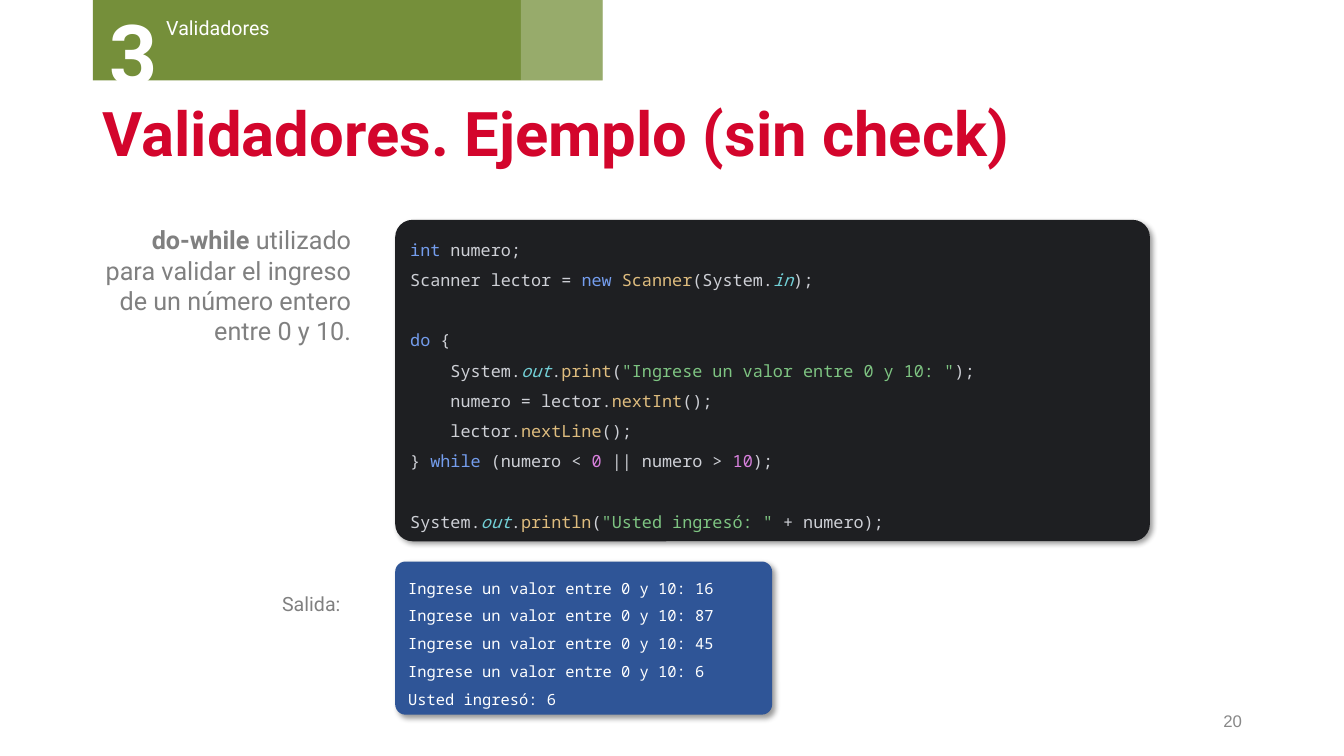
import lxml.etree
import pptx
import pptx.dml.color
import pptx.enum.shapes
import pptx.enum.text
import pptx.oxml.ns
import pptx.util

Cm, Pt = pptx.util.Cm, pptx.util.Pt
Align = pptx.enum.text.PP_ALIGN
Anchor = pptx.enum.text.MSO_ANCHOR
Preset = pptx.enum.shapes.MSO_SHAPE
qn = pptx.oxml.ns.qn

COLOURS = {
    "title": "D3052C", "body": "808080", "number": "888888", "white": "FFFFFF",
    "banner": "758F3A", "editor": "1E1F22", "console": "2F5597",
    "plain": "CED0D6", "keyword": "749DED", "call": "DEBC7E",
    "field": "72CFD6", "string": "7EC482", "literal": "D981DE",
}
MONO = "Noto Sans Mono"
CODE_SIZE = 12
LINE_HEIGHT = 1.8 * CODE_SIZE
INDENT = 4 * 0.6 * CODE_SIZE

# Each line: indent level, blank lines before it, tokens as (text, colour)
CODE = [
    (0, 0, [("int ", "keyword"), ("numero;", "plain")]),
    (0, 0, [("Scanner lector = ", "plain"), ("new ", "keyword"), ("Scanner", "call"),
            ("(System.", "plain"), ("in", "field"), (");", "plain")]),
    (0, 1, [("do ", "keyword"), ("{", "plain")]),
    (1, 0, [("System.", "plain"), ("out", "field"), (".", "plain"), ("print", "call"),
            ("(", "plain"), ('"Ingrese un valor entre 0 y 10: "', "string"),
            (");", "plain")]),
    (1, 0, [("numero = lector.", "plain"), ("nextInt", "call"), ("();", "plain")]),
    (1, 0, [("lector.", "plain"), ("nextLine", "call"), ("();", "plain")]),
    (0, 0, [("} ", "plain"), ("while ", "keyword"), ("(numero < ", "plain"),
            ("0 ", "literal"), ("|| numero > ", "plain"), ("10", "literal"),
            (");", "plain")]),
    (0, 1, [("System.", "plain"), ("out", "field"), (".", "plain"), ("println", "call"),
            ("(", "plain"), ('"Usted ingresó: " ', "string"),
            ("+ numero);", "plain")]),
]
ENTRIES = [16, 87, 45, 6]


def colour(name):
    return pptx.dml.color.RGBColor.from_string(COLOURS[name])


class SlideBuilder:
    """Holds the fonts, the current slide and the shapes being added to."""

    def __init__(self, slide, font="Roboto"):
        self.slide = slide
        self.shapes = slide.shapes
        self.font = font

    def start_group(self):
        self.shapes = self.slide.shapes.add_group_shape().shapes

    def style(self, paragraph, size, colour_name, font=None, bold=None,
              align=Align.LEFT, spacing=None):
        paragraph.font.name = font or self.font
        paragraph.font.size = Pt(size)
        paragraph.font.bold = bold
        paragraph.font.color.rgb = colour(colour_name)
        paragraph.alignment = align
        paragraph.line_spacing = spacing

    def text(self, box, runs, size, colour_name, anchor=Anchor.TOP, **style):
        """Adds a text box; runs are (text, bold) pairs."""
        frame = self.shapes.add_textbox(*map(Cm, box)).text_frame
        frame.word_wrap = True
        frame.vertical_anchor = anchor
        paragraph = frame.paragraphs[0]
        self.style(paragraph, size, colour_name, **style)
        for text, bold in runs:
            run = paragraph.add_run()
            run.text = text
            run.font.bold = bold

    def block(self, box, fill, preset=Preset.RECTANGLE, alpha=None):
        shape = self.shapes.add_shape(preset, *map(Cm, box))
        shape.shadow.inherit = False
        shape.fill.solid()
        shape.fill.fore_color.rgb = colour(fill)
        shape.line.fill.background()
        if alpha is not None:
            fill_colour = shape.fill._xPr.find(".//" + qn("a:srgbClr"))
            self.add_alpha(fill_colour, alpha)
        return shape

    def add_alpha(self, colour_element, percent):
        lxml.etree.SubElement(colour_element, qn("a:alpha"), val=str(percent * 1000))

    def panel(self, box, fill, corner, anchor):
        """Adds a rounded block with a soft shadow and returns its text frame."""
        shape = self.block(box, fill, Preset.ROUNDED_RECTANGLE)
        shape.adjustments[0] = corner
        effects = shape._element.spPr.find(qn("a:effectLst"))
        shadow = lxml.etree.SubElement(
            effects, qn("a:outerShdw"), blurRad=str(Pt(4)), dist=str(Pt(3)),
            dir=str(45 * 60000), algn="tl", rotWithShape="0")
        shade = lxml.etree.SubElement(shadow, qn("a:srgbClr"), val="000000")
        self.add_alpha(shade, 40)
        frame = shape.text_frame
        frame.word_wrap = True
        frame.vertical_anchor = anchor
        return frame

    def lines(self, frame, count):
        """Yields the paragraphs of a frame, adding those that are missing."""
        yield frame.paragraphs[0]
        for _ in range(count - 1):
            yield frame.add_paragraph()

    def code(self, box, code_lines):
        frame = self.panel(box, "editor", 0.054, Anchor.MIDDLE)
        paragraphs = self.lines(frame, len(code_lines))
        for paragraph, (level, blanks, tokens) in zip(paragraphs, code_lines):
            self.style(paragraph, CODE_SIZE, "plain", MONO, spacing=1.5)
            paragraph.space_before = Pt(blanks * LINE_HEIGHT)
            paragraph._p.get_or_add_pPr().set("marL", str(Pt(level * INDENT)))
            for text, kind in tokens:
                run = paragraph.add_run()
                run.text = text
                run.font.color.rgb = colour(kind)
                run.font.italic = kind == "field"

    def console(self, box, output):
        frame = self.panel(box, "console", 0.068, Anchor.TOP)
        for paragraph, text in zip(self.lines(frame, len(output)), output):
            paragraph.text = text
            self.style(paragraph, 11, "white", MONO, spacing=1.5)


def main():
    presentation = pptx.Presentation()
    presentation.slide_width, presentation.slide_height = Cm(33.87), Cm(19.05)
    builder = SlideBuilder(presentation.slides.add_slide(presentation.slide_layouts[6]))

    builder.text((2.34, 2.36, 29.21, 2.18), [("Validadores. Ejemplo (sin check)", True)],
                 44, "title", Anchor.MIDDLE, spacing=0.9)
    builder.text((23.93, 17.65, 7.62, 1.02), [("20", None)], 12, "number",
                 Anchor.MIDDLE, font="Arial", align=Align.RIGHT)
    explanation = [("do-while", True),
                   (" utilizado para validar el ingreso de un número entero entre 0 y 10.",
                    False)]
    builder.text((2.34, 5.54, 6.76, 3.33), explanation, 18, "body", align=Align.RIGHT)
    builder.text((6.86, 14.78, 2.21, 0.86), [("Salida:", None)], 14, "body")

    builder.code((9.96, 5.54, 19.02, 8.1), CODE)
    prompts = [f"Ingrese un valor entre 0 y 10: {entry}" for entry in ENTRIES]
    builder.console((9.96, 14.15, 9.5, 3.86), prompts + [f"Usted ingresó: {ENTRIES[-1]}"])

    builder.start_group()
    builder.block((2.34, 0, 12.85, 2.03), "banner")
    builder.text((3.94, 0.28, 6.99, 0.86), [("Validadores", None)], 14, "white")
    builder.text((2.51, -0.08, 2.84, 2.82), [("3", True)], 60, "white")
    builder.block((13.13, 0, 2.06, 2.03), "white", alpha=25)

    presentation.save("out.pptx")


if __name__ == "__main__":
    main()
